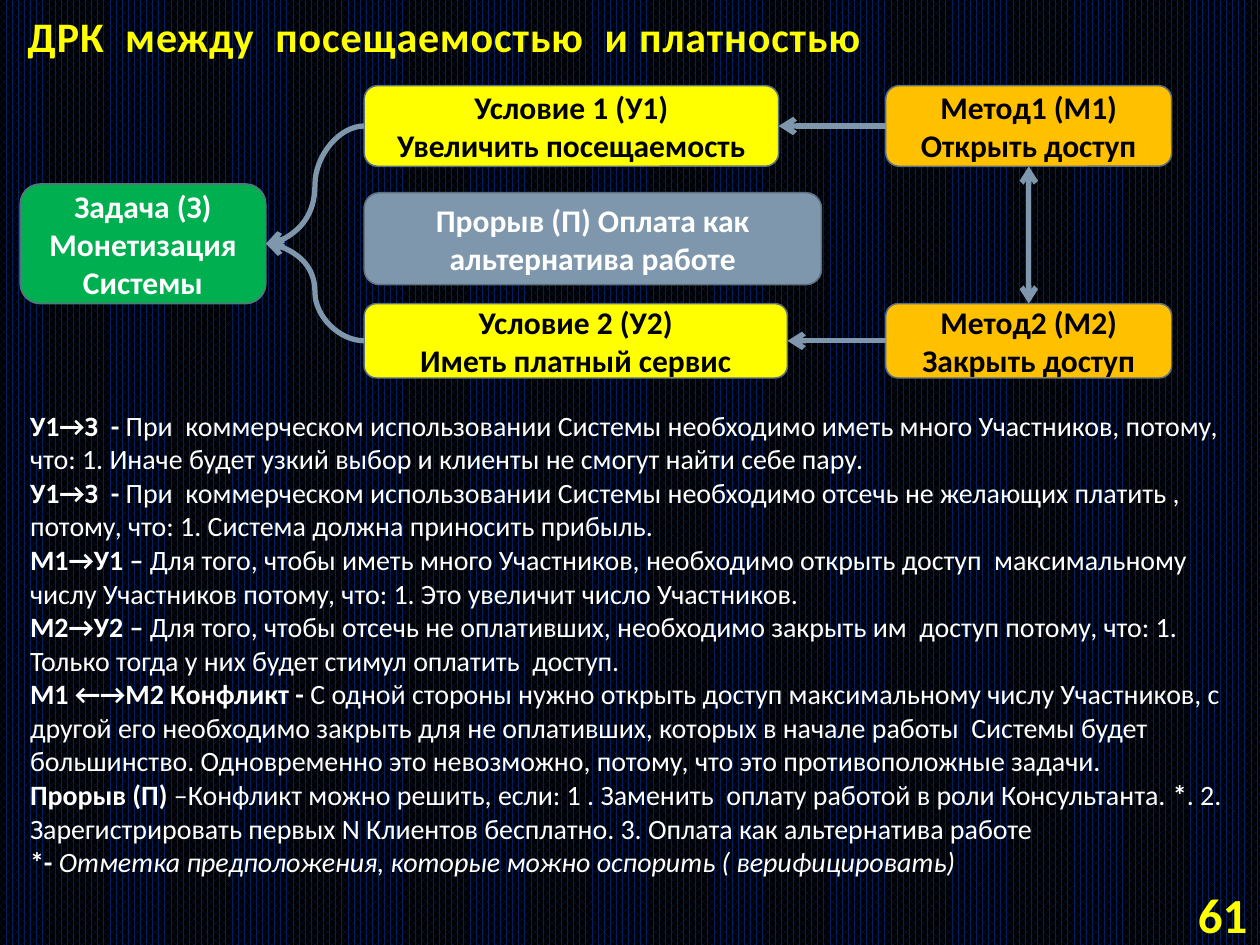
from lxml.etree import SubElement
from pptx import Presentation
from pptx.dml.color import RGBColor
from pptx.enum.dml import MSO_PATTERN
from pptx.enum.shapes import MSO_CONNECTOR, MSO_SHAPE
from pptx.enum.text import MSO_ANCHOR, MSO_AUTO_SIZE, PP_ALIGN
from pptx.oxml.ns import qn
from pptx.util import Inches, Pt

WHITE, BLACK, YELLOW, ORANGE = "FFFFFF", "000000", "FFFF00", "FFC000"
GREEN, STEEL, OUTLINE = "00B050", "7E97AD", "5D7080"
TOP, LEFT, BOTTOM, RIGHT = range(4)

TITLE = "ДРК  между  посещаемостью  и платностью"
BOXES = {
    "task": (["Задача (З)", "Монетизация Системы"], (0.16, 1.46, 1.95, 0.95), GREEN, WHITE),
    "breakthrough": (["Прорыв (П) Оплата как альтернатива работе"],
                     (2.89, 1.53, 3.63, 0.73), STEEL, WHITE),
    "condition1": (["Условие 1 (У1)", "Увеличить посещаемость"],
                   (2.89, 0.68, 3.29, 0.64), YELLOW, BLACK),
    "condition2": (["Условие 2 (У2)", "Иметь платный сервис"],
                   (2.89, 2.41, 3.36, 0.59), YELLOW, BLACK),
    "method1": (["Метод1 (М1)", "Открыть доступ"], (7.03, 0.68, 2.27, 0.64), ORANGE, BLACK),
    "method2": (["Метод2 (М2)", "Закрыть доступ"], (7.03, 2.41, 2.27, 0.59), ORANGE, BLACK),
}
ARROWS = [
    ("method1", LEFT, "condition1", RIGHT, MSO_CONNECTOR.CURVE, ["tailEnd"]),
    ("method2", LEFT, "condition2", RIGHT, MSO_CONNECTOR.CURVE, ["tailEnd"]),
    ("condition1", LEFT, "task", RIGHT, MSO_CONNECTOR.CURVE, ["tailEnd"]),
    ("condition2", LEFT, "task", RIGHT, MSO_CONNECTOR.CURVE, ["tailEnd"]),
    ("method1", BOTTOM, "method2", TOP, MSO_CONNECTOR.STRAIGHT, ["headEnd", "tailEnd"]),
]
BOLD, ITALIC = {"bold": True}, {"italic": True}
NOTES = [
    [("У1→З  -", BOLD),
     (" При  коммерческом использовании Системы необходимо иметь много Участников, потому, "
      "что: 1. Иначе будет узкий выбор и клиенты не смогут найти себе пару.", {})],
    [("У1→З  -", BOLD),
     (" При  коммерческом использовании Системы необходимо отсечь не желающих платить , "
      "потому, что: 1. Система должна приносить прибыль.", {})],
    [("M1→У1 –", BOLD),
     (" Для того, чтобы иметь много Участников, необходимо открыть доступ  максимальному "
      "числу Участников потому, что: 1. Это увеличит число Участников.", {})],
    [("M2→У2 –", BOLD),
     (" Для того, чтобы отсечь не оплативших, необходимо закрыть им  доступ потому, что: 1. "
      "Только тогда у них будет стимул оплатить  доступ.", {})],
    [("М1 ←→М2 Конфликт - ", BOLD),
     ("С одной стороны нужно открыть доступ максимальному числу Участников, с другой его "
      "необходимо закрыть для не оплативших, которых в начале работы  Системы будет "
      "большинство. Одновременно это невозможно, потому, что это противоположные задачи.", {})],
    [("Прорыв (П) ", BOLD),
     ("–Конфликт можно решить, если: 1 . Заменить  оплату работой в роли Консультанта. ", {}),
     ("*", BOLD),
     (". 2. Зарегистрировать первых N Клиентов бесплатно. 3. Оплата как альтернатива работе", {})],
    [("*- ", BOLD),
     ("Отметка предположения, которые можно оспорить ( верифицировать)", ITALIC)],
]


def rgb(value):
    """Turn a hex string into a colour."""
    return RGBColor.from_string(value)


def place(sp, at):
    """Move and size a shape, in inches."""
    sp.left, sp.top, sp.width, sp.height = map(Inches, at)


def write(sp, paragraphs, size, color, bold=False, align=PP_ALIGN.LEFT,
          anchor=MSO_ANCHOR.MIDDLE, spacing=None):
    """Fill a shape with paragraphs given as strings or lists of formatted runs."""
    tf = sp.text_frame
    tf.word_wrap, tf.auto_size, tf.vertical_anchor = True, MSO_AUTO_SIZE.NONE, anchor
    for i, content in enumerate(paragraphs):
        p = tf.add_paragraph() if i else tf.paragraphs[0]
        p.alignment = align
        runs = [(content, {})] if isinstance(content, str) else content
        for text, style in runs:
            r = p.add_run()
            r.text = text
            r.font.name, r.font.size, r.font.color.rgb = "Calibri", Pt(size), rgb(color)
            r.font.bold = style.get("bold", bold)
            r.font.italic = style.get("italic", False)
            if spacing:
                r.font._element.set("spc", str(int(spacing * 100)))


def add_box(s, lines, at, fill, color):
    """Add a rounded box with centred bold text."""
    sp = s.shapes.add_shape(MSO_SHAPE.ROUNDED_RECTANGLE, *map(Inches, at))
    sp.shadow.inherit = False
    sp.fill.solid()
    sp.fill.fore_color.rgb = rgb(fill)
    sp.line.color.rgb = rgb(OUTLINE)
    sp.line.width = Pt(0.85)
    write(sp, lines, 18, color, bold=True, align=PP_ALIGN.CENTER)
    return sp


def add_arrow(s, start, start_site, end, end_site, kind, heads):
    """Join two boxes with an arrow glued to their connection sites."""
    line = s.shapes.add_connector(kind, 0, 0, 0, 0)
    line.begin_connect(start, start_site)
    line.end_connect(end, end_site)
    line.line.color.rgb = rgb(STEEL)
    line.line.width = Pt(3)
    ln = line.line._get_or_add_ln()
    for head in heads:
        SubElement(ln, qn(f"a:{head}")).set("type", "arrow")
    SubElement(line._element.spPr, qn("a:effectLst"))


def main():
    """Build the slide and save it."""
    prs = Presentation()
    prs.slide_width, prs.slide_height = Inches(10), Inches(7.5)
    s = prs.slides.add_slide(prs.slide_layouts[5])
    background = s.background.fill
    background.patterned()
    background.pattern = MSO_PATTERN.PERCENT_70
    background.fore_color.rgb = rgb("002060")
    background.back_color.rgb = rgb(BLACK)

    title = s.shapes.title
    place(title, (0.12, 0.05, 9.88, 0.48))
    write(title, [TITLE], 24, YELLOW, bold=True, anchor=MSO_ANCHOR.BOTTOM, spacing=0.5)

    boxes = {name: add_box(s, *box) for name, box in BOXES.items()}
    for start, start_site, end, end_site, kind, heads in ARROWS:
        add_arrow(s, boxes[start], start_site, boxes[end], end_site, kind, heads)

    notes = s.shapes.add_textbox(*map(Inches, (0.14, 3.19, 9.84, 3.87)))
    write(notes, NOTES, 16, WHITE, anchor=MSO_ANCHOR.TOP)
    number = s.shapes.add_textbox(*map(Inches, (8.94, 7.05, 1.06, 0.4)))
    write(number, ["61"], 28, YELLOW, bold=True, align=PP_ALIGN.RIGHT)
    prs.save("out.pptx")


if __name__ == "__main__":
    main()
